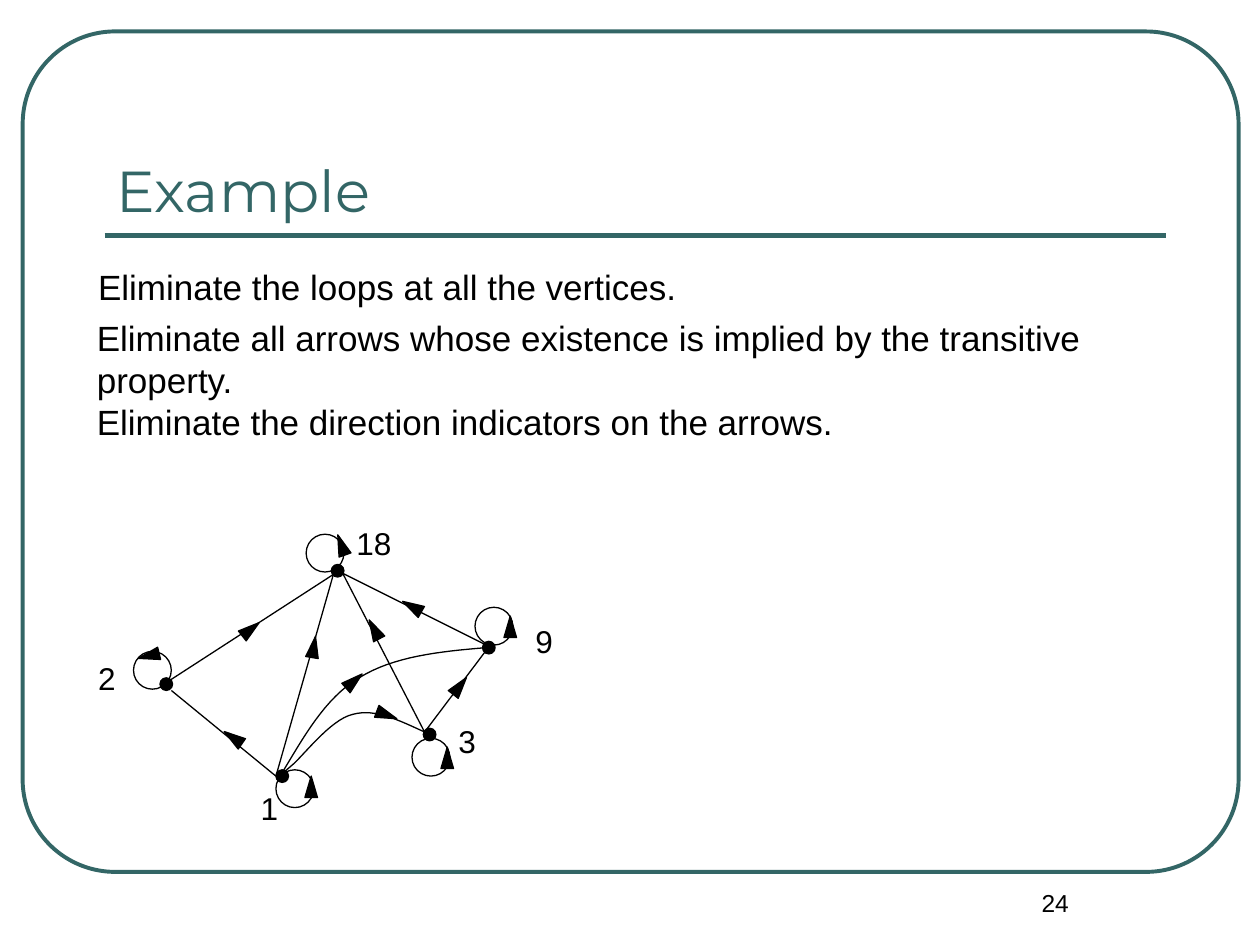
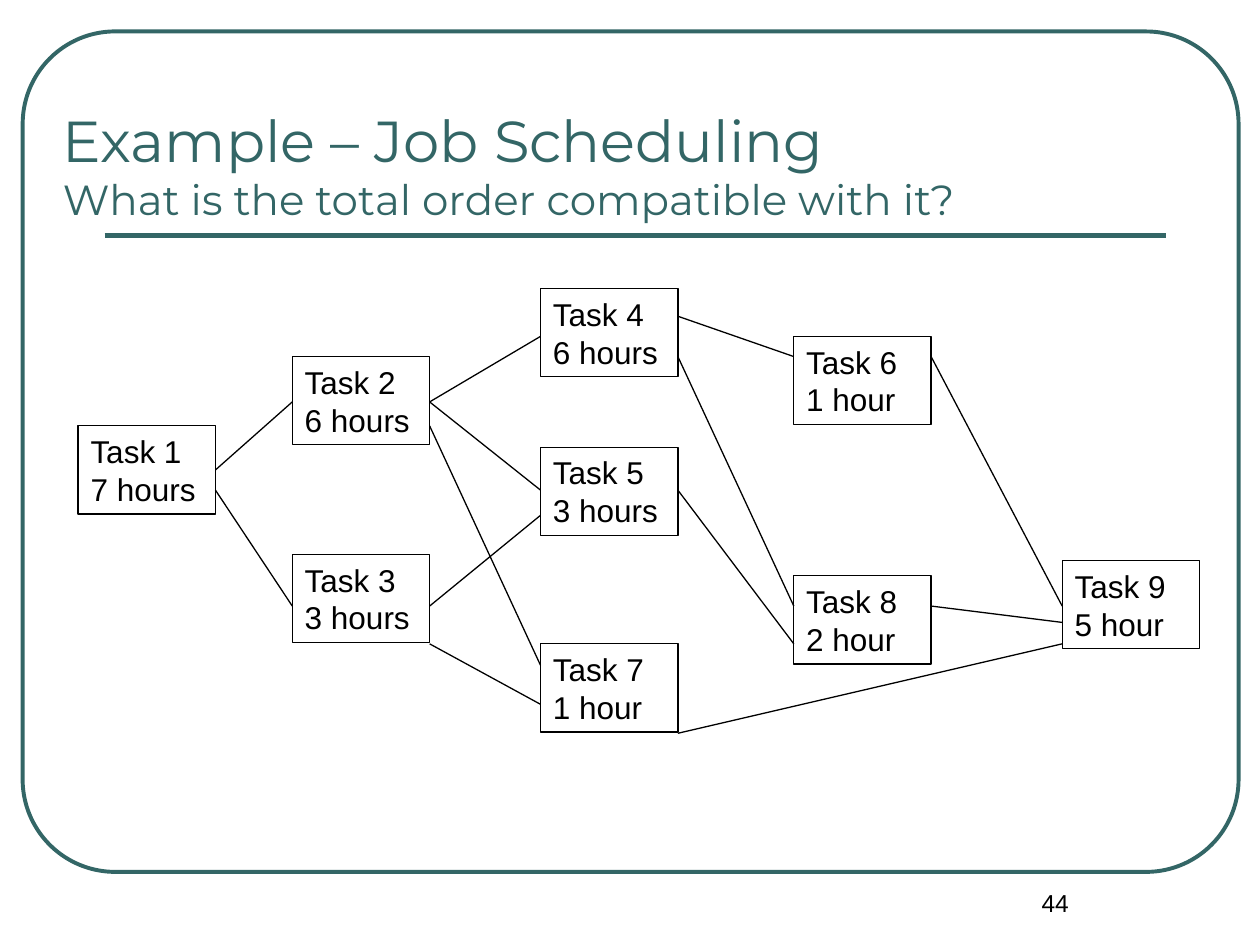
"""Build two slides on partial orders: a relation digraph and a job schedule."""
import lxml.etree
import pptx
import pptx.dml.color
import pptx.enum.shapes
import pptx.enum.text
import pptx.oxml.ns
import pptx.util

Inches = pptx.util.Inches
Pt = pptx.util.Pt
SHAPE = pptx.enum.shapes.MSO_SHAPE
ANCHOR = pptx.enum.text.MSO_ANCHOR
ALIGN = pptx.enum.text.PP_ALIGN

COLORS = {"accent": "336666", "ink": "000000"}
THIN = 0.75
DOT = 0.1
LOOP = 0.3
HEAD_WIDTH, HEAD_HEIGHT = 0.1, 0.17
TASK_WIDTH, TASK_HEIGHT = 1.09, 0.7

STEPS = [
    (0.68, 2.06, 0.44, "Eliminate the loops at all the vertices."),
    (0.67, 2.46, 0.77, "Eliminate all arrows whose existence is implied by the transitive property."),
    (0.67, 3.13, 0.44, "Eliminate the direction indicators on the arrows."),
]

# Each vertex: dot corner, loop corner, label corner.
VERTICES = {
    "1": ((2.19, 6.11), (2.19, 6.11), (1.97, 6.21)),
    "2": ((1.27, 5.38), (1.06, 5.17), (0.68, 5.18)),
    "3": ((3.36, 5.78), (3.27, 5.86), (3.54, 5.68)),
    "9": ((3.83, 5.09), (3.77, 4.82), (4.15, 4.89)),
    "18": ((2.63, 4.48), (2.43, 4.24), (2.73, 4.11)),
}
STRAIGHT_EDGES = [
    ((2.19, 6.16), (1.36, 5.48)),
    ((1.27, 5.45), (2.66, 4.55)),
    ((3.86, 5.12), (2.72, 4.55)),
    ((3.37, 5.81), (3.86, 5.16)),
    ((2.19, 6.16), (2.66, 4.51)),
    ((3.37, 5.81), (2.72, 4.55)),
]
CURVED_EDGES = [
    [(2.25, 6.12), (2.23, 6.14), (2.22, 6.16), (2.31, 6.08), (2.4, 6.01),
     (2.62, 5.71), (2.8, 5.67), (2.98, 5.62), (3.17, 5.72), (3.37, 5.81)],
    [(2.23, 6.15), (2.41, 5.85), (2.58, 5.54), (2.85, 5.38),
     (3.12, 5.21), (3.49, 5.17), (3.86, 5.14)],
]
# Each arrowhead: left, top, rotation.
LOOP_HEADS = [(2.42, 6.16, 0), (3.5, 5.93, 0), (4, 4.89, 0), (2.66, 4.24, 340.1), (1.13, 5.12, 256.4)]
EDGE_HEADS = [
    (3.02, 5.59, 110.4), (1.8, 5.77, 304.9), (1.94, 4.91, 51.8), (3.22, 4.73, 299.6),
    (3.6, 5.36, 38.1), (2.44, 5.05, 9.5), (2.76, 5.32, 48.9), (2.92, 4.91, 332.4),
]

COLUMNS = [0.62, 2.32, 4.29, 6.3, 8.43]
# Each task: column, top, duration.
TASKS = {
    1: (0, 3.38, "7 hours"),
    2: (1, 2.83, "6 hours"),
    3: (1, 4.4, "3 hours"),
    4: (2, 2.29, "6 hours"),
    5: (2, 3.55, "3 hours"),
    7: (2, 5.11, "1 hour"),
    6: (3, 2.67, "1 hour"),
    8: (3, 4.57, "2 hour"),
    9: (4, 4.45, "5 hour"),
}
# Each link: first task, height at its right side, next task, height at its left side.
LINKS = [
    (1, 3.73, 2, 3.19), (1, 3.89, 3, 4.81),
    (2, 3.19, 4, 2.67), (2, 3.19, 5, 3.89), (2, 3.38, 7, 5.28),
    (3, 4.81, 5, 4.09), (3, 5.11, 7, 5.59),
    (4, 2.51, 6, 2.83), (4, 2.83, 8, 4.81), (5, 3.89, 8, 5.11),
    (6, 2.83, 9, 4.81), (8, 4.81, 9, 4.94), (7, 5.82, 9, 5.11),
]


def color(name):
    """Return the named colour."""
    return pptx.dml.color.RGBColor.from_string(COLORS[name])


def bezier_points(controls, steps=16):
    """Return points along a chain of cubic curves."""
    points = [controls[0]]
    for start in range(0, len(controls) - 1, 3):
        a, b, c, d = controls[start:start + 4]
        for step in range(1, steps + 1):
            t = step / steps
            u = 1 - t
            points.append(tuple(
                u**3 * a[i] + 3 * u * u * t * b[i] + 3 * u * t * t * c[i] + t**3 * d[i]
                for i in (0, 1)))
    return points


class Painter:
    """Hold the shared style and the current slide."""

    def __init__(self, deck):
        """Keep the deck to add slides to."""
        self.deck = deck
        self.page = None

    def start_page(self, number, title, left, width):
        """Add a slide with its frame, title, rule and number."""
        self.page = self.deck.slides.add_slide(self.deck.slide_layouts[6])
        self.shape(SHAPE.ROUNDED_RECTANGLE, 0.18, 0.25, 9.65, 6.67, "accent", 2.25).adjustments[0] = 0.11
        self.line((0.83, 1.87), (9.25, 1.87), "accent", 3)
        self.text(title, left, 0.58, width, 1.25, (33, 24), "accent", "Montserrat", anchor=ANCHOR.BOTTOM)
        self.text(str(number), 7.5, 7, 1.75, 0.5, (14,), align=ALIGN.CENTER)

    def shape(self, kind, left, top, width, height, ink="ink", weight=THIN, filled=False):
        """Add an outlined preset shape."""
        shape = self.page.shapes.add_shape(kind, Inches(left), Inches(top), Inches(width), Inches(height))
        self.finish(shape, ink, weight, filled)
        return shape

    def finish(self, shape, ink="ink", weight=THIN, filled=False):
        """Set the fill, outline and shadow of a shape."""
        shape.shadow.inherit = False
        if filled:
            shape.fill.solid()
            shape.fill.fore_color.rgb = color(ink)
        else:
            shape.fill.background()
        shape.line.color.rgb = color(ink)
        shape.line.width = Pt(weight)

    def line(self, start, end, ink="ink", weight=THIN):
        """Add a straight line."""
        line = self.page.shapes.add_connector(
            pptx.enum.shapes.MSO_CONNECTOR.STRAIGHT, *(Inches(value) for value in (*start, *end)))
        line.line.color.rgb = color(ink)
        line.line.width = Pt(weight)
        lxml.etree.SubElement(line._element.spPr, pptx.oxml.ns.qn("a:effectLst"))

    def curve(self, controls):
        """Add a smooth open curve."""
        points = [(Inches(x), Inches(y)) for x, y in bezier_points(controls)]
        builder = self.page.shapes.build_freeform(*points[0])
        builder.add_line_segments(points[1:], close=False)
        self.finish(builder.convert_to_shape())

    def arrowhead(self, left, top, rotation):
        """Add a solid triangle that shows a direction."""
        head = self.shape(SHAPE.ISOSCELES_TRIANGLE, left, top, HEAD_WIDTH, HEAD_HEIGHT, filled=True)
        head.rotation = rotation

    def text(self, words, left, top, width, height, sizes, ink="ink", font="Arial",
             align=ALIGN.LEFT, anchor=ANCHOR.TOP):
        """Add a text box."""
        box = self.page.shapes.add_textbox(Inches(left), Inches(top), Inches(width), Inches(height))
        self.set_words(box, words, sizes, ink, font, align, anchor)

    def set_words(self, box, words, sizes, ink="ink", font="Arial", align=ALIGN.LEFT, anchor=ANCHOR.TOP):
        """Put words in a shape, with one size for each line."""
        frame = box.text_frame
        frame.word_wrap = True
        frame.vertical_anchor = anchor
        para = frame.paragraphs[0]
        para.text = words
        para.alignment = align
        for span, size in zip(para.runs, sizes):
            span.font.size = Pt(size)
            span.font.name = font
            span.font.color.rgb = color(ink)

    def vertex(self, label, dot, loop, spot):
        """Add a labelled vertex with its loop."""
        self.shape(SHAPE.OVAL, *dot, DOT, DOT, filled=True)
        self.shape(SHAPE.OVAL, *loop, LOOP, LOOP)
        self.text(label, *spot, 0.59 if len(label) > 1 else 0.44, 0.4, (18,))

    def task(self, number, column, top, duration):
        """Add a task box."""
        box = self.shape(SHAPE.RECTANGLE, COLUMNS[column], top, TASK_WIDTH, TASK_HEIGHT)
        self.set_words(box, f"Task {number}\v{duration}", (18, 18))


def draw_digraph(painter):
    """Draw the steps and the digraph of the relation."""
    painter.start_page(24, "Example", 0.83, 8.42)
    for left, top, height, words in STEPS:
        painter.text(words, left, top, 8.57, height, (20,))
    for label, places in VERTICES.items():
        painter.vertex(label, *places)
    for start, end in STRAIGHT_EDGES:
        painter.line(start, end)
    for controls in CURVED_EDGES:
        painter.curve(controls)
    for head in LOOP_HEADS + EDGE_HEADS:
        painter.arrowhead(*head)


def draw_schedule(painter):
    """Draw the tasks and the links between them."""
    painter.start_page(44, "Example – Job Scheduling\vWhat is the total order compatible with it?", 0.4, 9.31)
    for number, details in TASKS.items():
        painter.task(number, *details)
    for first, first_y, following, following_y in LINKS:
        start_x = COLUMNS[TASKS[first][0]] + TASK_WIDTH
        end_x = COLUMNS[TASKS[following][0]]
        painter.line((start_x, first_y), (end_x, following_y))


def main():
    """Build and save the deck."""
    deck = pptx.Presentation()
    deck.slide_width = Inches(10)
    deck.slide_height = Inches(7.5)
    painter = Painter(deck)
    draw_digraph(painter)
    draw_schedule(painter)
    deck.save("out.pptx")


if __name__ == "__main__":
    main()
